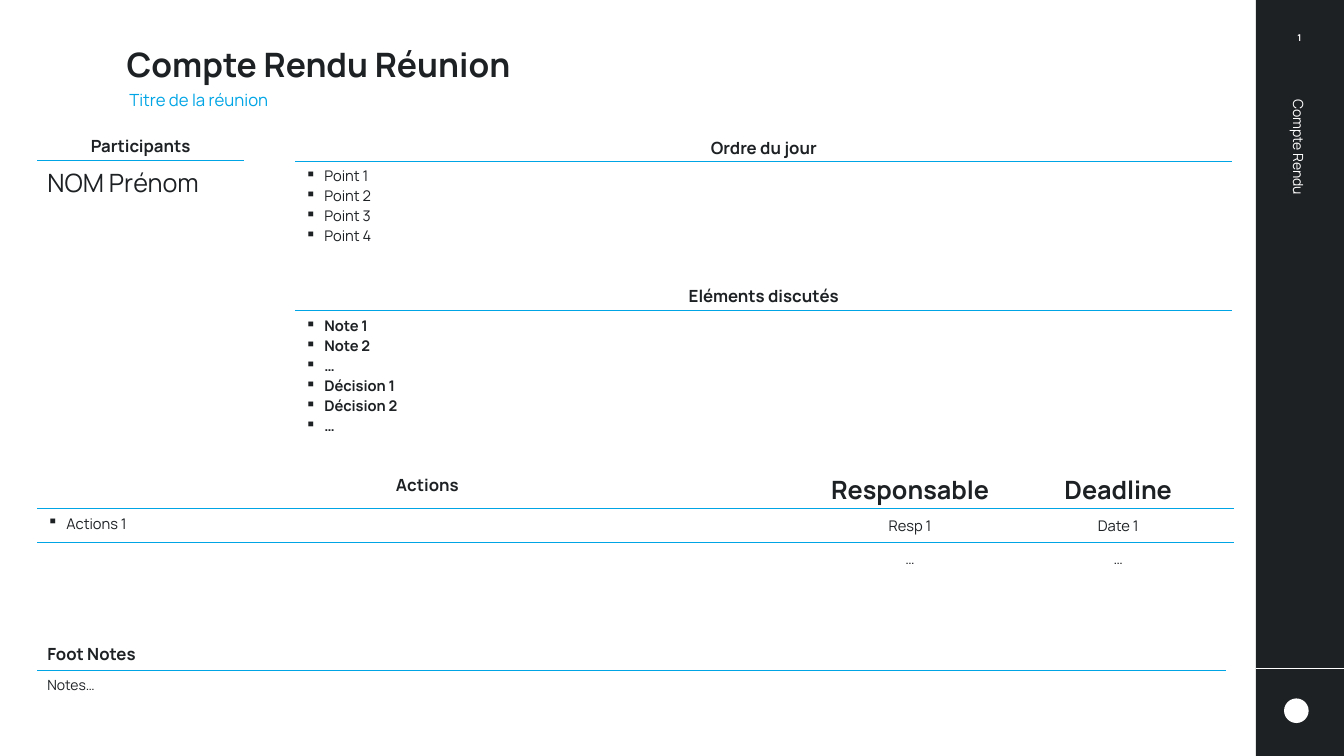
import pptx
import pptx.dml.color
import pptx.enum.shapes
import pptx.enum.text
import pptx.oxml
import pptx.oxml.ns
import pptx.util
from pptx.util import Cm

INK, WHITE, BLUE = "1E2124", "FFFFFF", "00A5E5"
LEFT = pptx.enum.text.PP_ALIGN.LEFT
CENTER = pptx.enum.text.PP_ALIGN.CENTER
RIGHT = pptx.enum.text.PP_ALIGN.RIGHT
TOP = pptx.enum.text.MSO_ANCHOR.TOP
MIDDLE = pptx.enum.text.MSO_ANCHOR.MIDDLE
BOTTOM = pptx.enum.text.MSO_ANCHOR.BOTTOM
PLAIN_TABLE = "{2D5ABB26-0587-4C30-8999-92F81FD0307C}"
EMPTY_SIZE = 6


def rgb(color):
    return pptx.dml.color.RGBColor.from_string(color)


def add_xml(parent, tag, inner="", **attributes):
    listed = "".join(f' {key}="{value}"' for key, value in attributes.items())
    parent.append(pptx.oxml.parse_xml(
        f'<a:{tag} {pptx.oxml.ns.nsdecls("a")}{listed}>{inner}</a:{tag}>'))


class MeetingSlide:
    font = "Manrope"

    def __init__(self, deck):
        self.slide = deck.slides.add_slide(deck.slide_layouts[5])
        self.shapes = self.slide.shapes

    def style(self, paragraph, size, color=INK, bold=False, align=LEFT):
        paragraph.alignment = align
        for run in paragraph.runs:
            run.font.name = self.font
            run.font.size = pptx.util.Pt(size)
            run.font.bold = bold
            run.font.color.rgb = rgb(color)

    def set_text(self, shape, text, size, color, bold=False, align=LEFT,
                 anchor=MIDDLE, spacing=None, inset=0.0):
        frame = shape.text_frame
        frame.text = text
        frame.word_wrap = True
        frame.auto_size = pptx.enum.text.MSO_AUTO_SIZE.NONE
        frame.vertical_anchor = anchor
        frame.margin_left = frame.margin_right = Cm(0.24)
        frame.margin_top = frame.margin_bottom = Cm(inset)
        frame.paragraphs[0].line_spacing = spacing
        self.style(frame.paragraphs[0], size, color, bold, align)

    def title(self, text, left, top, width, height):
        title = self.shapes.title
        title.left, title.top = Cm(left), Cm(top)
        title.width, title.height = Cm(width), Cm(height)
        self.set_text(title, text, 24, INK, bold=True, anchor=BOTTOM,
                      spacing=0.9, inset=0.13)

    def label(self, text, left, top, width, height, size, color,
              rotation=0, fill=None, **options):
        box = self.shapes.add_textbox(Cm(left), Cm(top), Cm(width), Cm(height))
        box.rotation = rotation
        if fill:
            box.fill.solid()
            box.fill.fore_color.rgb = rgb(fill)
        self.set_text(box, text, size, color, **options)

    def block(self, kind, left, top, width, height, color):
        block = self.shapes.add_shape(kind, Cm(left), Cm(top), Cm(width), Cm(height))
        block.shadow.inherit = False
        block.fill.solid()
        block.fill.fore_color.rgb = rgb(color)
        block.line.fill.background()

    def rule(self, left, right, y, color):
        rule = self.shapes.add_connector(
            pptx.enum.shapes.MSO_CONNECTOR.STRAIGHT, Cm(left), Cm(y), Cm(right), Cm(y))
        rule.line.color.rgb = rgb(color)
        rule.line.width = pptx.util.Pt(0.62)
        add_xml(rule._element.spPr, "effectLst")

    def cell(self, cell, lines, size, bold, align, anchor=TOP, bullet=False, edge=None):
        """Fill one table cell; edge is the tag of its blue border, if any."""
        cell.margin_top = Cm(0.13)
        cell.margin_bottom = Cm(0 if edge == "lnB" else 0.13)
        cell.vertical_anchor = anchor
        if edge:
            add_xml(cell._tc.get_or_add_tcPr(), edge,
                    f'<a:solidFill><a:srgbClr val="{BLUE}"/></a:solidFill>', w=12700)
        cell.fill.background()
        cell.text_frame.text = "\n".join(lines)
        for paragraph in cell.text_frame.paragraphs:
            self.style(paragraph, size, INK, bold, align)
            if not lines:
                add_xml(paragraph._p, "endParaRPr", sz=EMPTY_SIZE * 100)
            elif bullet:
                properties = paragraph._p.get_or_add_pPr()
                properties.set("marL", str(Cm(0.48)))
                properties.set("indent", str(-Cm(0.48)))
                add_xml(properties, "buChar", char="▪")

    def table(self, left, top, widths, heights):
        frame = self.shapes.add_table(len(heights), len(widths), Cm(left), Cm(top),
                                      Cm(sum(widths)), Cm(sum(heights)))
        table = frame.table
        table.first_row = table.horz_banding = False
        table._tbl.tblPr.find(pptx.oxml.ns.qn("a:tableStyleId")).text = PLAIN_TABLE
        for column, width in zip(table.columns, widths):
            column.width = Cm(width)
        for row, height in zip(table.rows, heights):
            row.height = Cm(height)
        return table

    def section(self, heading, lines, left, top, width, heights,
                size=10.5, bold=False, bullet=False, align=CENTER):
        table = self.table(left, top, [width], heights)
        self.cell(table.cell(0, 0), [heading], 12, True, align, edge="lnB")
        self.cell(table.cell(1, 0), lines, size, bold, LEFT, bullet=bullet, edge="lnT")

    def actions(self, headings, rows, left, top, widths, heights):
        table = self.table(left, top, widths, heights)
        for column, heading in enumerate(headings):
            first = column == 0
            self.cell(table.cell(0, column), [heading], 12 if first else 18,
                      True, CENTER, edge="lnB")
            for row in range(1, len(heights)):
                text = rows[row - 1][column] if row <= len(rows) else ""
                self.cell(table.cell(row, column), [text] if text else [], 10.5, False,
                          LEFT if first else CENTER, TOP if first else MIDDLE,
                          bullet=first, edge="lnT" if row == 1 else None)


def main():
    deck = pptx.Presentation()
    deck.slide_width, deck.slide_height = Cm(33.87), Cm(19.05)
    report = MeetingSlide(deck)
    kinds = pptx.enum.shapes.MSO_SHAPE

    sidebar, page_right, margin = 31.65, 33.87, 0.94
    report.block(kinds.RECTANGLE, sidebar, 0, page_right - sidebar, 19.05, INK)
    report.rule(sidebar, page_right, 16.84, WHITE)
    report.block(kinds.OVAL, 32.36, 17.6, 0.62, 0.62, WHITE)
    report.label("1", 32.05, 0.43, 0.99, 1.02, 6.7, WHITE, bold=True, align=RIGHT)
    report.title("Compte Rendu Réunion", 2.95, 1.07, 27.91, 1.19)
    report.label("Compte Rendu", 28.65, 5.99, 8.15, 0.69, 10, WHITE, rotation=90)

    agenda = [f"Point {number}" for number in range(1, 5)]
    discussed = [f"{topic} {number}" if number else "…"
                 for topic in ("Note", "Décision") for number in (1, 2, None)]
    report.section("Ordre du jour", agenda, 7.44, 3.3, 23.62, [0.76, 2.46], bullet=True)
    report.section("Eléments discutés", discussed, 7.44, 7.04, 23.62, [0.79, 2.92],
                   bold=True, bullet=True)
    report.actions(["Actions", "Responsable", "Deadline"],
                   [["Actions 1", "Resp 1", "Date 1"], ["", "…", "…"]],
                   margin, 11.79, [19.66, 4.67, 5.82], [1.02, 0.86, 0.84] + [0.56] * 8)
    report.section("Participants", ["NOM Prénom"], margin, 3.25, 5.21, [0.79, 4.7], size=18)
    report.label("Titre de la réunion", 3.02, 2.24, 27.89, 0.61, 12, BLUE,
                 fill=WHITE, spacing=0.9)
    report.section("Foot Notes", ["Notes…"], margin, 16.05, 29.95, [0.84, 2.06],
                   size=10, align=LEFT)
    deck.save("out.pptx")


if __name__ == "__main__":
    main()
